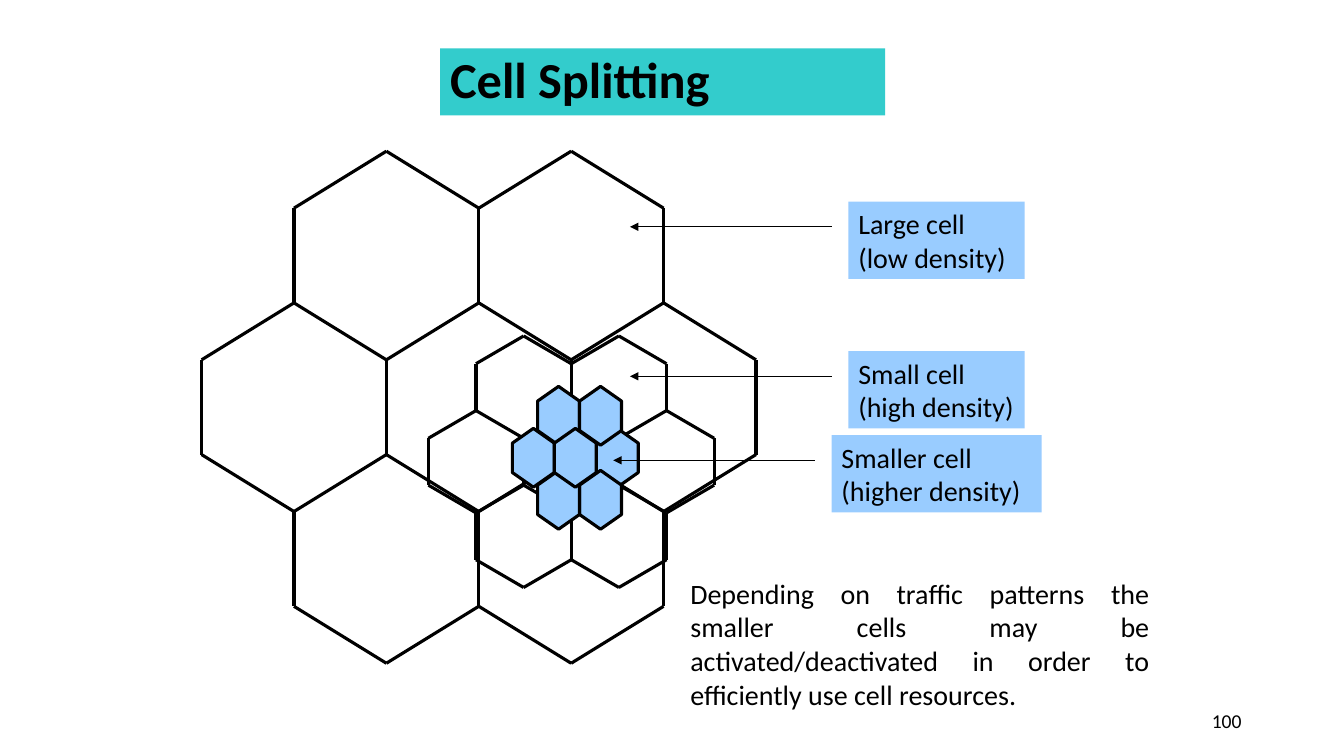
from typing import NamedTuple, Optional

import pptx
import pptx.dml.color
import pptx.enum.shapes
import pptx.enum.text
import pptx.oxml
import pptx.oxml.ns
import pptx.util
from lxml import etree

ALIGN = pptx.enum.text.PP_ALIGN
ANCHOR = pptx.enum.text.MSO_ANCHOR


class Theme:
    font = "Calibri"
    ink = pptx.dml.color.RGBColor.from_string("000000")
    title_fill = pptx.dml.color.RGBColor.from_string("33CCCC")
    cell_fill = pptx.dml.color.RGBColor.from_string("99CCFF")
    title_size, body_size, number_size = 36, 20, 14
    cell_line, pointer_line = 2.25, 0.75


class Box(NamedTuple):
    col: float
    row: float
    cols: float
    rows: float


class Cluster(NamedTuple):
    """Seven hexagonal cells sharing their edges."""
    col: float
    row: float
    half_width: float
    slope: float
    side: float


class SmallestCell(NamedTuple):
    """A filled cell given by its centre and width."""
    col: float
    row: float
    cols: float = 5
    point: float = 0.35


class Label(NamedTuple):
    wording: str
    box: Box


# Grid of 160 columns by 90 rows, each a twelfth of an inch
def grid(units: float) -> int:
    return pptx.util.Inches(units / 12)


LARGE_CELLS = Cluster(24, 18, 11, 6.78, 11.28)
SMALL_CELLS = Cluster(51, 40, 5.67, 3.3, 5.58)
CELL_PLACES = [(1, 0), (3, 0), (0, 1), (2, 1), (4, 1), (1, 2), (3, 2)]
CELL_OUTLINE = [(0, 1), (1, 0), (2, 1), (2, 2), (1, 3), (0, 2)]

SMALLEST_LENGTH = 7
SMALLEST_CELLS = [
    SmallestCell(69, 54.5, 6, 0.29),
    SmallestCell(73.5, 54.5),
    SmallestCell(71.5, 59.5),
    SmallestCell(63.5, 54.5),
    SmallestCell(66.5, 59.5),
    SmallestCell(66.5, 49.5),
    SmallestCell(71.5, 49.5),
    SmallestCell(68.5, 54.5),
]

LABELS = [
    Label("Large cell (low density)", Box(101, 24, 21, 9.2)),
    Label("Small cell (high density)", Box(101, 41.8, 21, 9.2)),
    Label("Smaller cell (higher density)", Box(99, 51.8, 25, 9.2)),
]
POINTER_GAP, POINTER_LENGTH, POINTER_DROP = 2, 24, 3


def add_text(slide, wording: str, box: Box, size: float, bold: bool = False,
             fill: Optional[pptx.dml.color.RGBColor] = None,
             align=ALIGN.LEFT, anchor=ANCHOR.TOP, spacing: float = 1.0) -> None:
    panel = slide.shapes.add_textbox(*map(grid, box))
    if fill is not None:
        panel.fill.solid()
        panel.fill.fore_color.rgb = fill
    frame = panel.text_frame
    frame.word_wrap = True
    frame.vertical_anchor = anchor
    frame.text = wording
    paragraph = frame.paragraphs[0]
    paragraph.alignment = align
    paragraph.line_spacing = spacing
    font = paragraph.runs[0].font
    font.name, font.size, font.bold = Theme.font, pptx.util.Pt(size), bold
    font.color.rgb = Theme.ink


def add_line(slide, start: tuple, end: tuple, width: float, arrow: bool = False) -> None:
    line = slide.shapes.add_connector(
        pptx.enum.shapes.MSO_CONNECTOR.STRAIGHT, *map(grid, (*start, *end)))
    line.line.color.rgb = Theme.ink
    line.line.width = pptx.util.Pt(width)
    if arrow:
        etree.SubElement(line.line._get_or_add_ln(),
                         pptx.oxml.ns.qn("a:tailEnd"), type="triangle")
    etree.SubElement(line._element.spPr, pptx.oxml.ns.qn("a:effectLst"))


def add_cluster(slide, cluster: Cluster) -> None:
    def corner(step: int, level: int) -> tuple:
        # Levels alternate between a slanted and an upright edge
        height = (level + 1) // 2 * cluster.slope + level // 2 * cluster.side
        return cluster.col + step * cluster.half_width, cluster.row + height

    edges = set()
    for step, tier in CELL_PLACES:
        corners = [(step + x, 2 * tier + y) for x, y in CELL_OUTLINE]
        for pair in zip(corners, corners[1:] + corners[:1]):
            edges.add(tuple(sorted(pair)))
    for start, end in sorted(edges):
        add_line(slide, corner(*start), corner(*end), Theme.cell_line)


def add_smallest_cell(slide, cell: SmallestCell) -> None:
    hexagon = slide.shapes.add_shape(
        pptx.enum.shapes.MSO_SHAPE.HEXAGON,
        grid(cell.col - SMALLEST_LENGTH / 2), grid(cell.row - cell.cols / 2),
        grid(SMALLEST_LENGTH), grid(cell.cols))
    hexagon.rotation = 270
    hexagon.adjustments[0] = cell.point
    hexagon.shadow.inherit = False
    hexagon.fill.solid()
    hexagon.fill.fore_color.rgb = Theme.cell_fill
    hexagon.line.color.rgb = Theme.ink
    hexagon.line.width = pptx.util.Pt(Theme.cell_line)


def add_label(slide, label: Label) -> None:
    start = label.box.col - POINTER_GAP
    height = label.box.row + POINTER_DROP
    add_line(slide, (start, height), (start - POINTER_LENGTH, height),
             Theme.pointer_line, arrow=True)
    add_text(slide, label.wording, label.box, Theme.body_size, fill=Theme.cell_fill)


def main() -> None:
    deck = pptx.Presentation()
    deck.slide_width, deck.slide_height = grid(160), grid(90)
    slide = deck.slides.add_slide(deck.slide_layouts[6])

    # Page number and title
    add_text(slide, "100", Box(113, 83.4, 36, 4.8), Theme.number_size,
             align=ALIGN.RIGHT, anchor=ANCHOR.MIDDLE)
    add_text(slide, "Cell Splitting", Box(52.4, 5.75, 53, 8), Theme.title_size,
             bold=True, fill=Theme.title_fill, anchor=ANCHOR.MIDDLE, spacing=0.9)

    # Three generations of cells
    for cluster in (LARGE_CELLS, SMALL_CELLS):
        add_cluster(slide, cluster)
    for cell in SMALLEST_CELLS:
        add_smallest_cell(slide, cell)

    # Labels with pointers, and the explanation
    for label in LABELS:
        add_label(slide, label)
    add_text(slide, "Depending on traffic patterns the smaller cells may be "
             "activated/deactivated in order to efficiently use cell resources.",
             Box(81, 68, 57, 17.4), Theme.body_size, align=ALIGN.JUSTIFY)

    deck.save("out.pptx")


if __name__ == "__main__":
    main()
